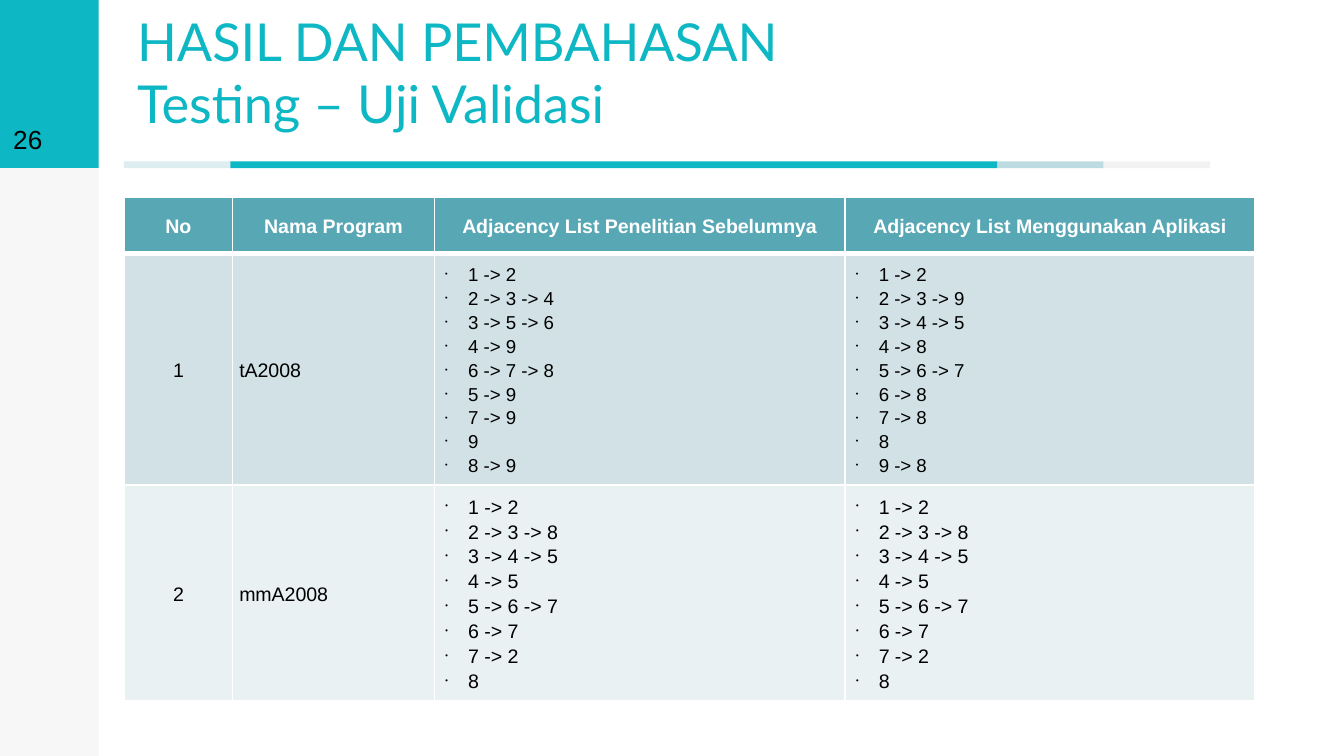
"""Build the validation test slide with its adjacency list table."""
from lxml.etree import SubElement
from pptx import Presentation
from pptx.dml.color import RGBColor as RGB
from pptx.enum.shapes import MSO_SHAPE as Shape
from pptx.enum.text import MSO_ANCHOR as Anchor, PP_ALIGN as Align
from pptx.oxml.ns import qn
from pptx.util import Pt

TEAL = RGB(0x0D, 0xB7, 0xC4)
PALE = RGB(0xDD, 0xED, 0xF0)
MIST = RGB(0xBC, 0xDC, 0xE1)
GREY = RGB(0xF2, 0xF2, 0xF2)
SIDE = RGB(0xF7, 0xF7, 0xF7)
HEAD = RGB(0x57, 0xA7, 0xB5)
BANDS = [RGB(0xD1, 0xE1, 0xE5), RGB(0xEA, 0xF1, 0xF3)]
WHITE = RGB(0xFF, 0xFF, 0xFF)
BLACK = RGB(0, 0, 0)


def write(frame, lines, size, color=BLACK, font="Arial", bold=False,
          align=Align.LEFT, space=None, bullet=None):
    for i, line in enumerate(lines):
        para = frame.paragraphs[0] if i == 0 else frame.add_paragraph()
        para.alignment = align
        if space:
            para.line_spacing = space
        if bullet:
            props = para._p.get_or_add_pPr()
            props.set("marL", str(Pt(14.4)))
            props.set("indent", str(-Pt(14.4)))
            SubElement(props, qn("a:buChar")).set("char", bullet)
        run = para.add_run()
        run.text = line
        run.font.name = font
        run.font.size = Pt(size)
        run.font.bold = bold
        run.font.color.rgb = color


def edge(cell, side, width):
    line = SubElement(cell._tc.get_or_add_tcPr(), qn(f"a:ln{side}"))
    line.set("w", str(Pt(width)))
    fill = SubElement(line, qn("a:solidFill"))
    SubElement(fill, qn("a:srgbClr")).set("val", str(WHITE))


deck = Presentation()
deck.slide_width, deck.slide_height = Pt(720), Pt(405)
slide = deck.slides.add_slide(deck.slide_layouts[6])

for left, top, width, height, color in [
    (0, 0, 52.8, 405, SIDE),
    (0, 0, 52.8, 90, TEAL),
    (534.2, 86.5, 57, 3.6, MIST),
    (591.2, 86.5, 57, 3.6, GREY),
    (66.4, 86.5, 57, 3.6, PALE),
    (123.4, 86.5, 410.8, 3.6, TEAL),
]:
    bar = slide.shapes.add_shape(
        Shape.RECTANGLE, Pt(left), Pt(top), Pt(width), Pt(height))
    bar.shadow.inherit = False
    bar.fill.solid()
    bar.fill.fore_color.rgb = color
    bar.line.fill.background()

title = ["HASIL DAN PEMBAHASAN", "Testing – Uji Validasi"]
for left, top, width, height, lines, style in [
    (66.4, 10, 630, 69.2, title, dict(size=28, color=TEAL, font="Lato")),
    (0, 0, 52.8, 90, ["26"], dict(size=14)),
]:
    box = slide.shapes.add_textbox(Pt(left), Pt(top), Pt(width), Pt(height))
    frame = box.text_frame
    frame.word_wrap = True
    frame.vertical_anchor = Anchor.BOTTOM
    frame.margin_left = frame.margin_right = Pt(7.2)
    frame.margin_top = frame.margin_bottom = Pt(7.2)
    write(frame, lines, **style)

same = ["1 -> 2", "2 -> 3 -> 8", "3 -> 4 -> 5", "4 -> 5",
        "5 -> 6 -> 7", "6 -> 7", "7 -> 2", "8"]
rows = [
    [["No"], ["Nama Program"], ["Adjacency List Penelitian Sebelumnya"],
     ["Adjacency List Menggunakan Aplikasi"]],
    [["1"], ["tA2008"],
     ["1 -> 2", "2 -> 3 -> 4", "3 -> 5 -> 6", "4 -> 9", "6 -> 7 -> 8",
      "5 -> 9", "7 -> 9", "9", "8 -> 9"],
     ["1 -> 2", "2 -> 3 -> 9", "3 -> 4 -> 5", "4 -> 8", "5 -> 6 -> 7",
      "6 -> 8", "7 -> 8", "8", "9 -> 8"]],
    [["2"], ["mmA2008"], same, same],
]
widths = [58, 108.2, 220, 219.6]
heights = [30.2, 115, 106.5]
grid = slide.shapes.add_table(
    len(rows), len(widths), Pt(66.6), Pt(105.4),
    Pt(sum(widths)), Pt(sum(heights))).table
for col, width in zip(grid.columns, widths):
    col.width = Pt(width)
for row, height in zip(grid.rows, heights):
    row.height = Pt(height)

for r, row in enumerate(rows):
    for c, lines in enumerate(row):
        cell = grid.cell(r, c)
        cell.margin_left = cell.margin_right = Pt(3.6)
        cell.margin_top = cell.margin_bottom = 0
        cell.vertical_anchor = Anchor.MIDDLE
        for side in "LRTB":
            thick = (r, side) in [(0, "B"), (1, "T")]
            edge(cell, side, 3 if thick else 1)
        cell.fill.solid()
        cell.fill.fore_color.rgb = BANDS[r - 1] if r else HEAD
        write(cell.text_frame, lines,
              size=10 if r == 1 and c > 1 else 10.5,
              color=BLACK if r else WHITE, bold=r == 0,
              align=Align.CENTER if r == 0 or c == 0 else Align.LEFT,
              space=1.15, bullet="⋅" if r and c > 1 else None)

deck.save("out.pptx")
